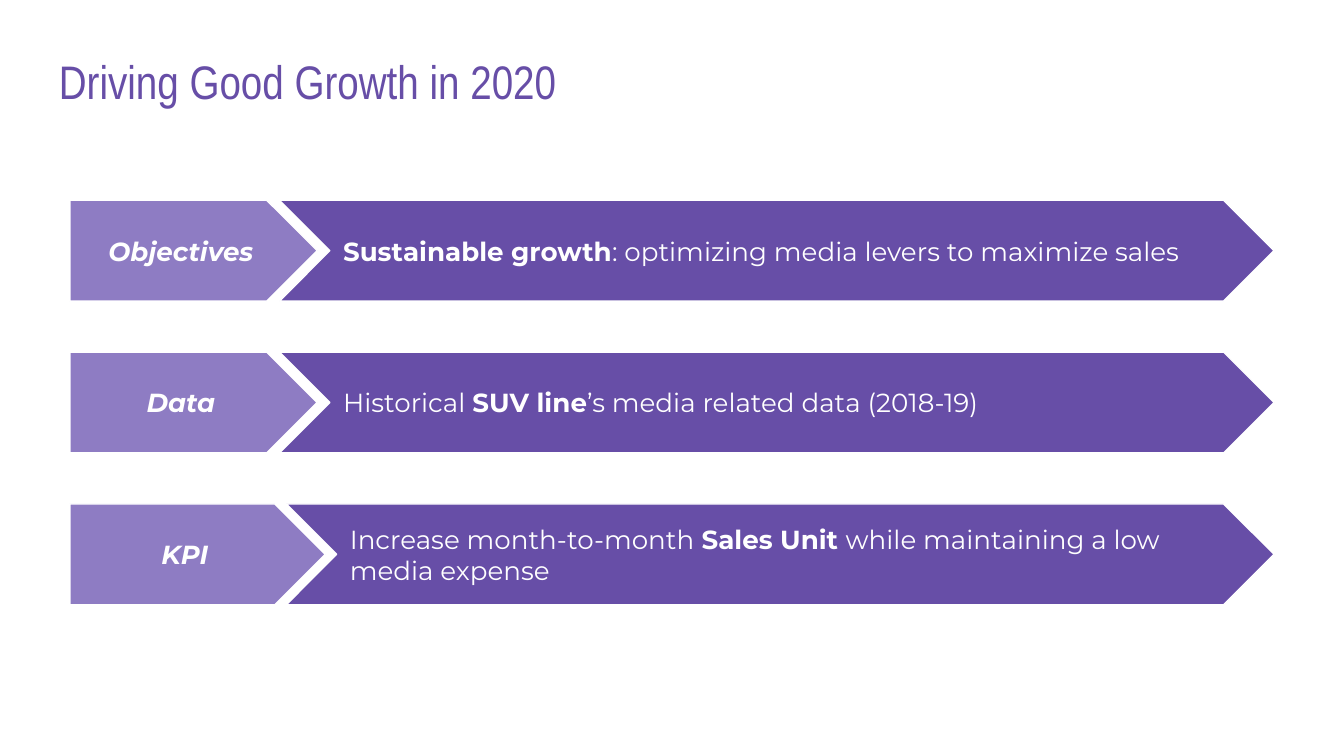
import pptx
import pptx.dml.color
import pptx.enum.shapes
import pptx.enum.text
import pptx.util

Inches = pptx.util.Inches
Pt = pptx.util.Pt
MSO_SHAPE = pptx.enum.shapes.MSO_SHAPE
PP_ALIGN = pptx.enum.text.PP_ALIGN
MSO_ANCHOR = pptx.enum.text.MSO_ANCHOR

COLORS = {"purple": "674EA7", "lavender": "8E7CC3", "white": "FFFFFF"}
LEFT, RIGHT = 0.52, 9.48
TOP, ROW_STEP, ROW_HEIGHT = 1.49, 1.13, 0.75
INSET = 0.1

# label, label width, left edge of the chevron, (text, bold) runs
ROWS = [
    ("Objectives", 1.84, 2.08, [
        ("Sustainable growth", True),
        (": optimizing media levers to maximize sales", False)]),
    ("Data", 1.84, 2.08, [
        ("Historical ", False),
        ("SUV line", True),
        ("’s media related data (2018-19)", False)]),
    ("KPI", 1.9, 2.13, [
        ("Increase month-to-month ", False),
        ("Sales Unit ", True),
        ("while maintaining a low media expense", False)]),
]


def write_runs(shape, runs, font_name, size, color, anchor, alignment, italic=False):
    """Fill the shape's single paragraph with (text, bold) runs."""
    frame = shape.text_frame
    frame.word_wrap = True
    frame.vertical_anchor = anchor
    frame.margin_left = frame.margin_right = Inches(INSET)
    frame.margin_top = frame.margin_bottom = Inches(INSET)
    paragraph = frame.paragraphs[0]
    paragraph.alignment = alignment
    for text, bold in runs:
        run = paragraph.add_run()
        run.text = text
        run.font.name = font_name
        run.font.size = Pt(size)
        run.font.bold = bold
        run.font.italic = italic
        run.font.color.rgb = pptx.dml.color.RGBColor.from_string(COLORS[color])


def add_arrow(preset, left, top, width, fill):
    shape = slide.shapes.add_shape(
        preset, Inches(left), Inches(top), Inches(width), Inches(ROW_HEIGHT))
    shape.shadow.inherit = False
    shape.adjustments[0] = 0.5
    shape.fill.solid()
    shape.fill.fore_color.rgb = pptx.dml.color.RGBColor.from_string(COLORS[fill])
    shape.line.color.rgb = pptx.dml.color.RGBColor.from_string(COLORS["white"])
    shape.line.width = Pt(0.75)
    return shape


presentation = pptx.Presentation()
presentation.slide_width = Inches(10)
presentation.slide_height = Inches(10 * 9 / 16)
slide = presentation.slides.add_slide(presentation.slide_layouts[6])

title = slide.shapes.add_textbox(Inches(0.34), Inches(0.29), Inches(9.32), Inches(0.63))
write_runs(title, [("Driving Good Growth in 2020", False)], "Arial Narrow", 25.2,
           "purple", MSO_ANCHOR.TOP, PP_ALIGN.LEFT)

for index, (label, label_width, chevron_left, runs) in enumerate(ROWS):
    top = TOP + index * ROW_STEP
    label_arrow = add_arrow(MSO_SHAPE.PENTAGON, LEFT, top, label_width, "lavender")
    write_runs(label_arrow, [(label, True)], "Montserrat", 14, "white",
               MSO_ANCHOR.MIDDLE, PP_ALIGN.CENTER, italic=True)
    chevron = add_arrow(MSO_SHAPE.CHEVRON, chevron_left, top, RIGHT - chevron_left, "purple")
    write_runs(chevron, runs, "Montserrat", 14, "white",
               MSO_ANCHOR.MIDDLE, PP_ALIGN.LEFT)

presentation.save("out.pptx")
